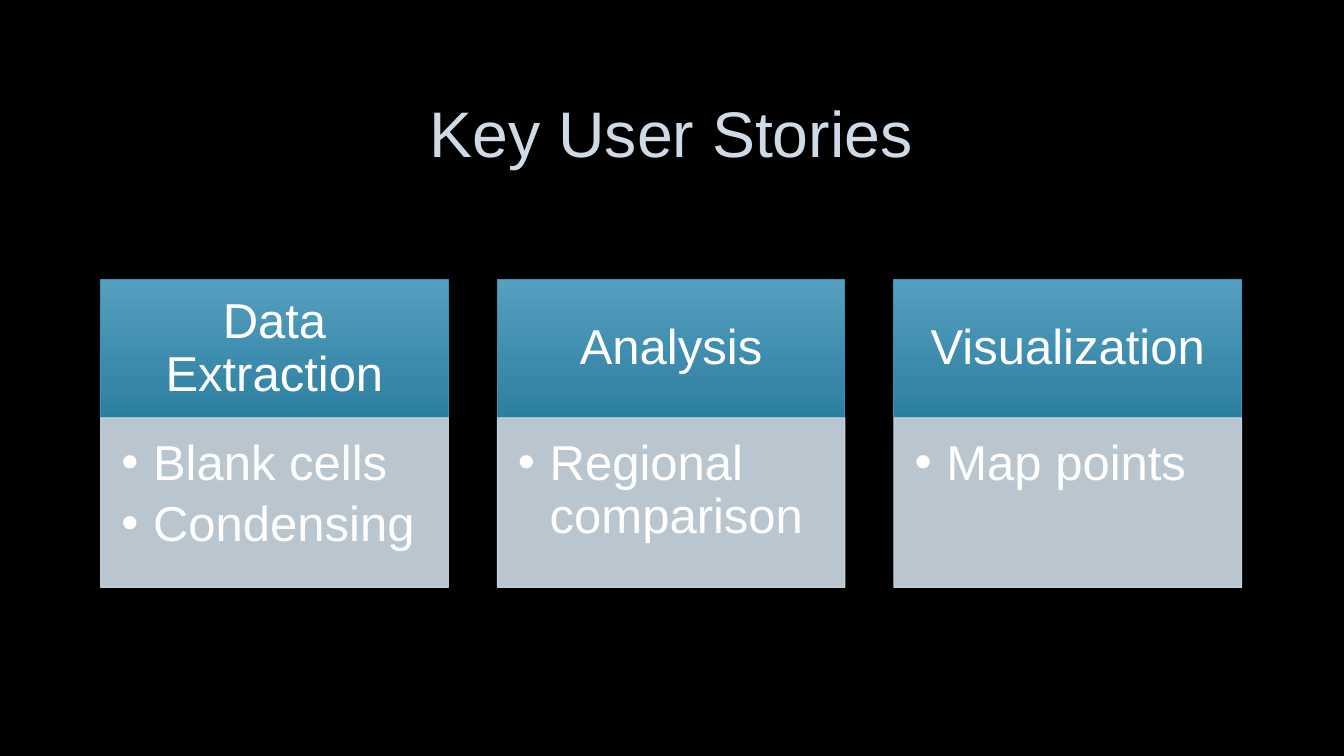
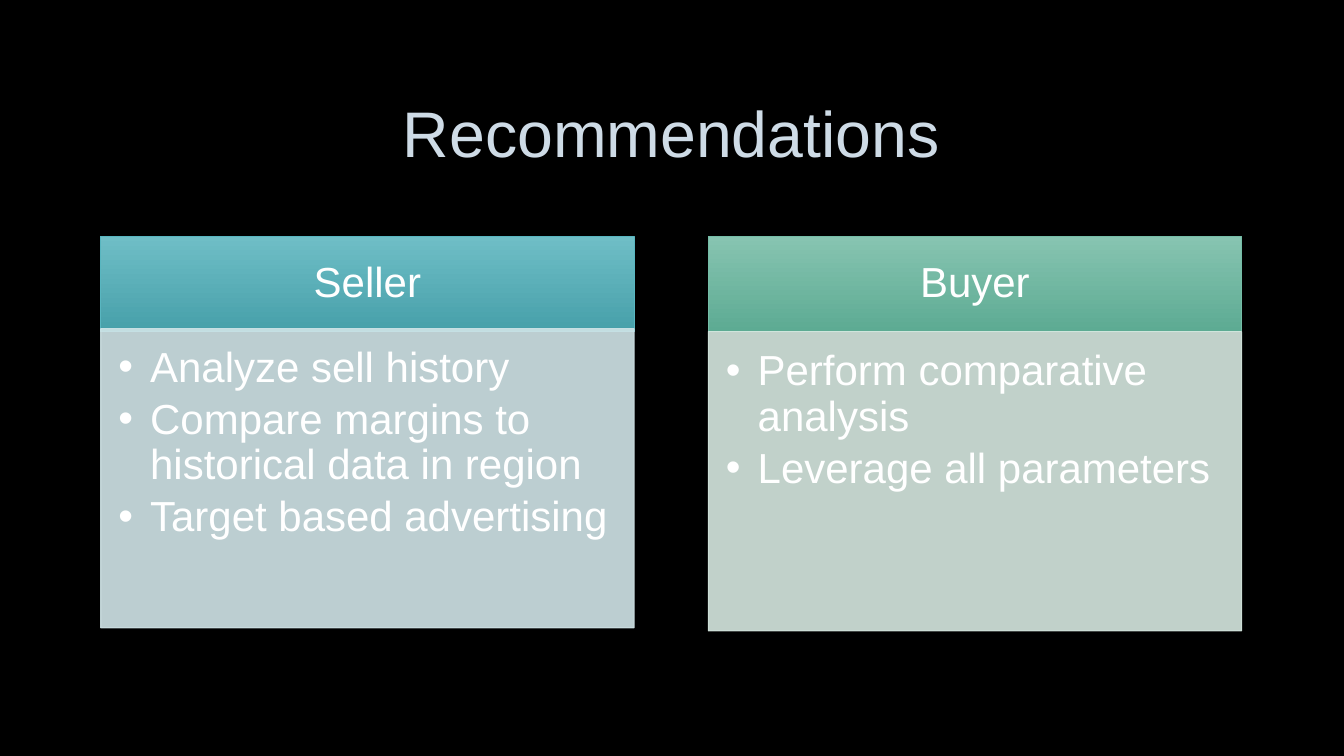
"""Builds two dark slides of headed cards in equal columns."""
from dataclasses import dataclass

from lxml import etree
from pptx import Presentation
from pptx import util as u
from pptx.dml import color
from pptx.enum import shapes, text
from pptx.oxml import ns


@dataclass(frozen=True)
class Theme:
    """Colours, type sizes and shared measures (in cm)."""
    font: str = "Arial"
    background: str = "000000"
    title: str = "CEDBE6"
    white: str = "FFFFFF"
    blue: tuple = ("559FC0", "2D7FA0", "3494BA", "CEDCE7")
    teal: tuple = ("6FBEC6", "47A0AA", "58B6C0", "D1E5E8")
    green: tuple = ("87C4B1", "5DAB93", "75BDA7", "D6E8E1")
    title_size: int = 46
    large: int = 35
    medium: int = 30
    left: float = 2.54
    width: float = 28.75
    indent: float = 0.8


@dataclass(frozen=True)
class Card:
    """A heading, its bullet points, its palette and a shift of its body."""
    heading: str
    points: tuple
    palette: tuple
    shift: float = 0


THEME = Theme()


def rgb(value):
    """Turn a hex string into a colour."""
    return color.RGBColor.from_string(value)


def apply(target, **values):
    """Set each named attribute on the target."""
    for name, value in values.items():
        setattr(target, name, value)


def place(box):
    """Turn a box in cm into slide lengths."""
    return [u.Cm(value) for value in box]


def write(shape, lines, size, ink, frame_format, para_format, bulleted=False):
    """Write paragraphs into a shape."""
    frame = shape.text_frame
    apply(frame, word_wrap=True, **frame_format)
    for index, line in enumerate(lines):
        para = frame.paragraphs[0] if index == 0 else frame.add_paragraph()
        if bulleted:
            add_bullet(para)
        apply(para, line_spacing=0.9, **para_format)
        span = para.add_run()
        apply(span, text=line)
        apply(span.font, name=THEME.font, size=u.Pt(size))
        span.font.color.rgb = rgb(ink)


def add_bullet(para):
    """Give a paragraph a round bullet and a hanging indent."""
    properties = para._p.get_or_add_pPr()
    hang = u.Cm(THEME.indent)
    properties.set("marL", str(hang))
    properties.set("indent", str(-hang))
    etree.SubElement(properties, ns.qn("a:buFont")).set("typeface", THEME.font)
    etree.SubElement(properties, ns.qn("a:buChar")).set("char", "•")


def insets(size, left, top, right, bottom):
    """Give text margins as multiples of the type size."""
    em = u.Cm(size * 2.54 / 72)
    return {"margin_left": int(em * left), "margin_top": int(em * top),
            "margin_right": int(em * right), "margin_bottom": int(em * bottom)}


def add_panel(page, box, line):
    """Add a plain rectangle with a thin line."""
    panel = page.shapes.add_shape(shapes.MSO_SHAPE.RECTANGLE, *place(box))
    panel.shadow.inherit = False
    panel.line.color.rgb = rgb(line)
    panel.line.width = u.Pt(0.75)
    return panel


def add_header(page, box, card, size):
    """Add the gradient heading of a card."""
    light, dark, line, _ = card.palette
    header = add_panel(page, box, line)
    header.fill.gradient()
    header.fill.gradient_angle = 270
    for stop, shade in zip(header.fill.gradient_stops, (light, dark)):
        stop.color.rgb = rgb(shade)
    write(header, [card.heading], size, THEME.white,
          {"vertical_anchor": text.MSO_ANCHOR.MIDDLE,
           **insets(size, 0.56, 0.33, 0.56, 0.33)},
          {"alignment": text.PP_ALIGN.CENTER})


def add_body(page, box, card, size):
    """Add the translucent bullet panel of a card."""
    tint = card.palette[-1]
    body = add_panel(page, box, tint)
    body.fill.solid()
    body.fill.fore_color.rgb = rgb(tint)
    for shade in body._element.spPr.iter(ns.qn("a:srgbClr")):
        etree.SubElement(shade, ns.qn("a:alpha")).set("val", "90000")
    write(body, card.points, size, THEME.white,
          {"vertical_anchor": text.MSO_ANCHOR.TOP,
           **insets(size, 0.42, 0.42, 0.56, 0.64)},
          {"alignment": text.PP_ALIGN.LEFT, "space_after": u.Pt(size * 0.16)},
          bulleted=True)


def add_cards(page, cards, top, card_width, head_height, body_top, body_height, size):
    """Spread cards in equal columns across the content width."""
    pitch = (THEME.width - card_width) / (len(cards) - 1)
    for index, card in enumerate(cards):
        left = THEME.left + index * pitch
        add_header(page, (left, top, card_width, head_height), card, size)
        add_body(page, (left, body_top + card.shift, card_width, body_height), card, size)


def add_page(deck, title):
    """Add a black slide with a centred title."""
    page = deck.slides.add_slide(deck.slide_layouts[6])
    page.background.fill.solid()
    page.background.fill.fore_color.rgb = rgb(THEME.background)
    heading = page.shapes.add_textbox(*place((THEME.left, 1.7, THEME.width, 3.5)))
    write(heading, [title], THEME.title_size, THEME.title,
          {"vertical_anchor": text.MSO_ANCHOR.MIDDLE},
          {"alignment": text.PP_ALIGN.CENTER})
    return page


def main():
    """Build and save the deck."""
    deck = Presentation()
    apply(deck, slide_width=u.Cm(33.87), slide_height=u.Cm(19.05))
    stories = (
        Card("Data Extraction", ("Blank cells", "Condensing"), THEME.blue),
        Card("Analysis", ("Regional comparison",), THEME.blue),
        Card("Visualization", ("Map points",), THEME.blue),
    )
    add_cards(add_page(deck, "Key User Stories"), stories, top=7.05, card_width=8.76,
              head_height=3.48, body_top=10.53, body_height=4.27, size=THEME.large)
    advice = (
        Card("Seller", ("Analyze sell history",
                        "Compare margins to historical data in region",
                        "Target based advertising"), THEME.teal),
        Card("Buyer", ("Perform comparative analysis",
                       "Leverage all parameters"), THEME.green, shift=0.08),
    )
    add_cards(add_page(deck, "Recommendations"), advice, top=5.95, card_width=13.44,
              head_height=2.4, body_top=8.28, body_height=7.54, size=THEME.medium)
    deck.save("out.pptx")


if __name__ == "__main__":
    main()
